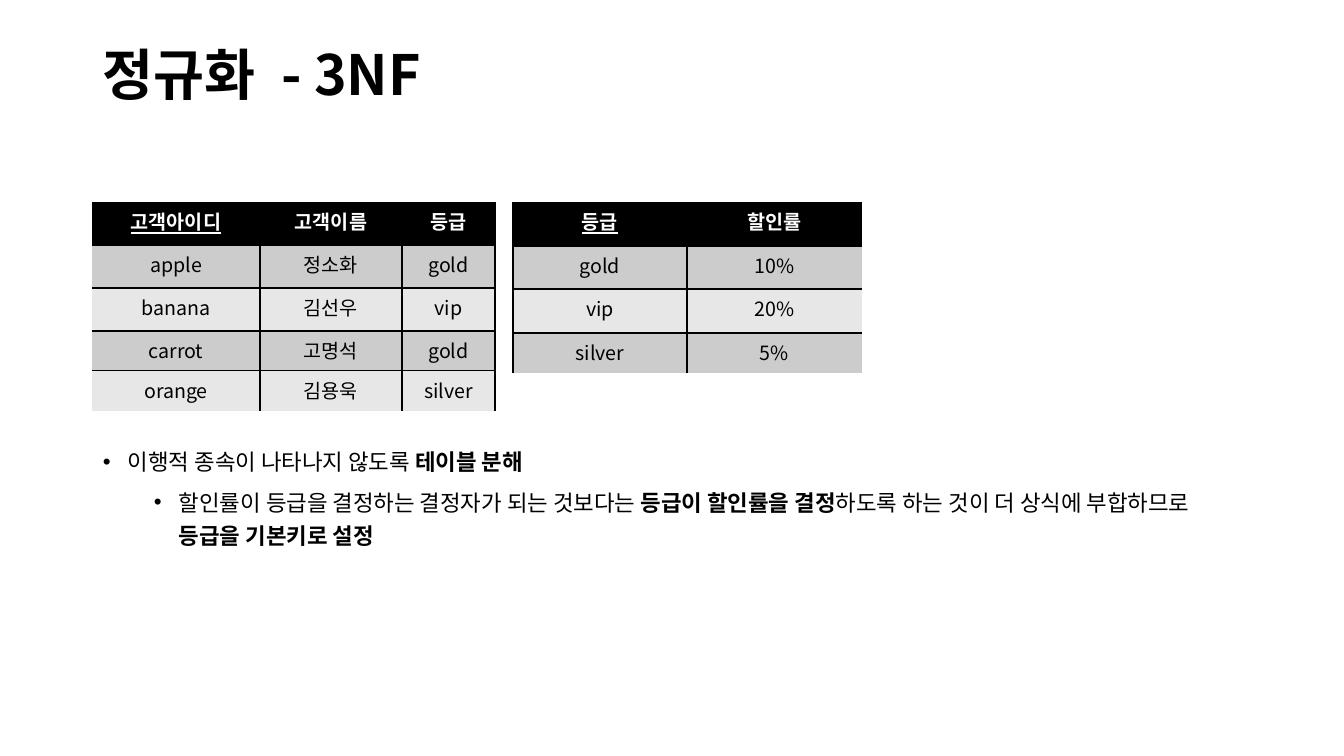
from lxml import etree
from pptx import Presentation
from pptx.dml.color import RGBColor
from pptx.enum.text import MSO_ANCHOR, PP_ALIGN
from pptx.oxml.ns import qn
from pptx.util import Pt

BLACK = RGBColor(0x00, 0x00, 0x00)
WHITE = RGBColor(0xFF, 0xFF, 0xFF)
DARK_BAND = RGBColor(0xCC, 0xCC, 0xCC)
LIGHT_BAND = RGBColor(0xE7, 0xE7, 0xE7)
CENTER = PP_ALIGN.CENTER
MIDDLE = MSO_ANCHOR.MIDDLE
FONT = "Noto Sans CJK KR"

CUSTOMERS = [
    ["고객아이디", "고객이름", "등급"],
    ["apple", "정소화", "gold"],
    ["banana", "김선우", "vip"],
    ["carrot", "고명석", "gold"],
    ["orange", "김용욱", "silver"],
]
DISCOUNTS = [
    ["등급", "할인률"],
    ["gold", "10%"],
    ["vip", "20%"],
    ["silver", "5%"],
]
NOTES = [
    [("이행적 종속이 나타나지 않도록 ", False), ("테이블 분해", True)],
    [("할인률이 등급을 결정하는 결정자가 되는 것보다는 ", False),
     ("등급이 할인률을 결정", True),
     ("하도록 하는 것이 더 상식에 부합하므로 ", False),
     ("등급을 기본키로 설정", True)],
]


def px(n):
    return round(n * 914400 / 100.8)


def add_run(p, text, size, color=BLACK, bold=False, underline=False):
    r = p.add_run()
    r.text = text
    r.font.size = Pt(size)
    r.font.name = FONT
    r.font.bold = bold
    r.font.underline = underline
    r.font.color.rgb = color
    rPr = r._r.get_or_add_rPr()
    etree.SubElement(rPr, qn("a:ea"), typeface=FONT)
    return rPr


def add_text_box(slide, x, y, w, h):
    tf = slide.shapes.add_textbox(px(x), px(y), px(w), px(h)).text_frame
    tf.word_wrap = True
    return tf


def add_title(slide, x, y, w, h):
    tf = add_text_box(slide, x, y, w, h)
    tf.vertical_anchor = MIDDLE
    p = tf.paragraphs[0]
    p.line_spacing = 0.9
    add_run(p, "정규화", 39.6, bold=True)
    add_run(p, " ", 39.6, bold=True).set("spc", "900")
    add_run(p, "- 3NF", 39.6, bold=True)


def set_borders(cell, sides):
    tcPr = cell._tc.get_or_add_tcPr()
    for side in "LRTB":
        ln = etree.SubElement(tcPr, qn(f"a:ln{side}"), w=str(Pt(1)))
        if side in sides:
            fill = etree.SubElement(ln, qn("a:solidFill"))
            etree.SubElement(fill, qn("a:srgbClr"), val=str(BLACK))
        else:
            etree.SubElement(ln, qn("a:noFill"))


def add_grid(slide, x, y, widths, heights, rows, outer):
    last_row, last_col = len(heights) - 1, len(widths) - 1
    table = slide.shapes.add_table(
        len(heights), len(widths), px(x), px(y),
        px(sum(widths)), px(sum(heights))).table
    for column, width in zip(table.columns, widths):
        column.width = px(width)
    for i, (row, height) in enumerate(zip(rows, heights)):
        table.rows[i].height = px(height)
        band = DARK_BAND if i % 2 else LIGHT_BAND
        for j, text in enumerate(row):
            cell = table.cell(i, j)
            inner = {"L": j > 0, "R": j < last_col, "T": i > 0, "B": i < last_row}
            set_borders(cell, [s for s in inner if inner[s] or s in outer])
            cell.fill.solid()
            cell.fill.fore_color.rgb = band if i else BLACK
            p = cell.text_frame.paragraphs[0]
            p.alignment = CENTER
            add_run(p, text, 14, BLACK if i else WHITE,
                    bold=i == 0, underline=i == 0 and j == 0)


def add_notes(slide, x, y, w, h):
    tf = add_text_box(slide, x, y, w, h)
    for level, runs in enumerate(NOTES):
        p = tf.add_paragraph() if level else tf.paragraphs[0]
        p.level = level
        p.line_spacing = 1.24
        if level:
            p.space_before = Pt(5)
        pPr = p._p.get_or_add_pPr()
        pPr.set("marL", str(px(25 + 51 * level)))
        pPr.set("indent", str(px(-25)))
        etree.SubElement(pPr, qn("a:buFont"), typeface="Arial")
        etree.SubElement(pPr, qn("a:buChar"), char="•")
        for text, bold in runs:
            add_run(p, text, 16, bold=bold)


def build_slide(prs):
    slide = prs.slides.add_slide(prs.slide_layouts[6])
    add_title(slide, 93, 40, 1159, 74)
    add_notes(slide, 93, 437, 1159, 159)
    add_grid(slide, 513, 202, [174, 175], [44, 43, 44, 40], DISCOUNTS, "L")
    add_grid(slide, 92, 202, [168, 142, 93], [43, 43, 43, 40, 40], CUSTOMERS, "R")


def main():
    prs = Presentation()
    prs.slide_width = px(1344)
    prs.slide_height = px(756)
    build_slide(prs)
    prs.save("out.pptx")


if __name__ == "__main__":
    main()
